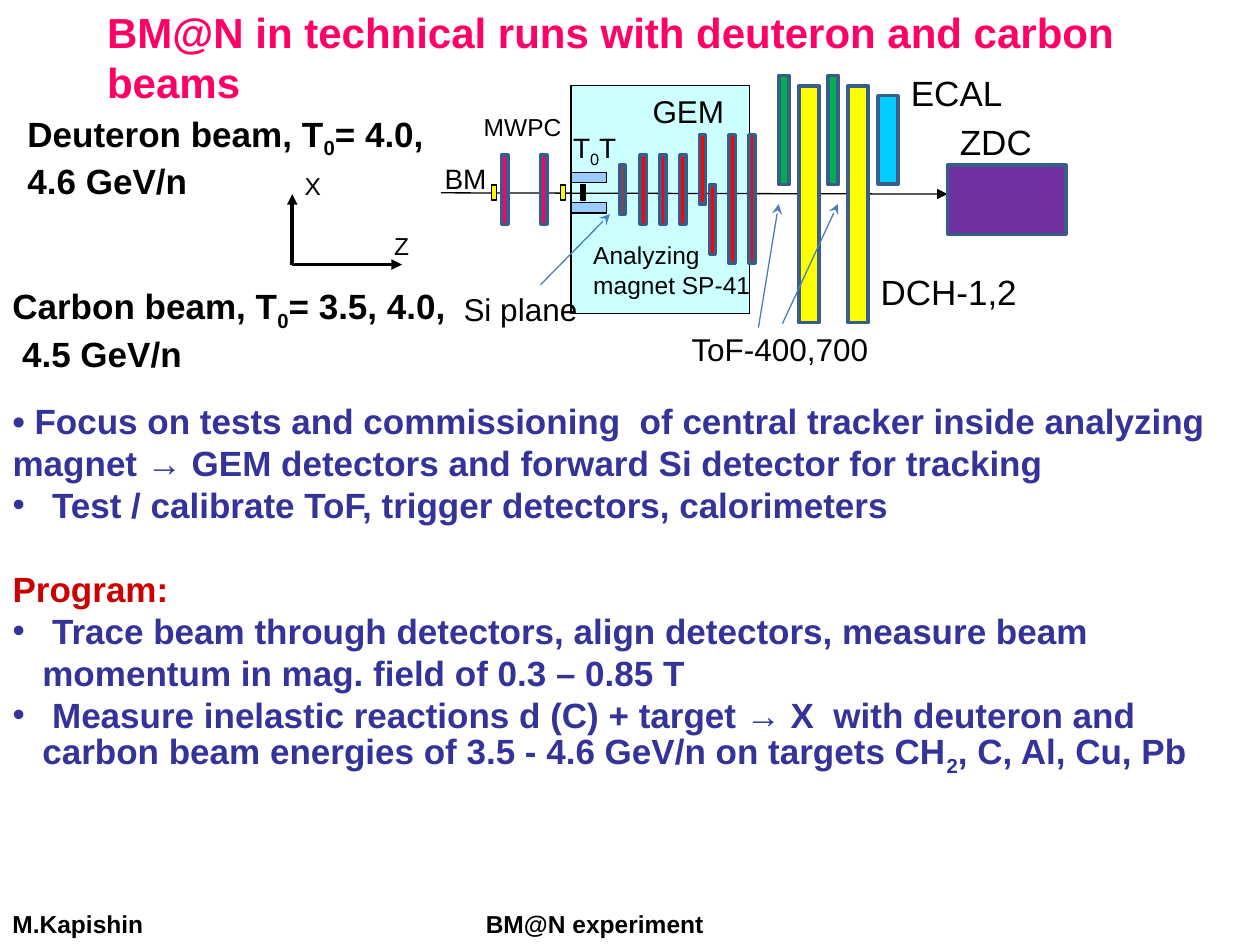
"""Build the BM@N technical runs slide with its detector layout scheme."""
from lxml.etree import SubElement
from pptx import Presentation
from pptx.dml.color import RGBColor
from pptx.enum.shapes import MSO_CONNECTOR, MSO_SHAPE
from pptx.enum.text import MSO_ANCHOR, MSO_AUTO_SIZE, PP_ALIGN
from pptx.oxml.ns import qn
from pptx.util import Pt

COLORS = {
    "black": "000000", "pink": "FF0066", "navy": "333399", "crimson": "CC0000",
    "outline": "385D8A", "pointer": "4A7EBB", "yellow": "FFFF00",
    "green": "00B050", "purple": "7030A0", "magnet": "CCFFFF",
    "coil": "99CCFF", "red": "FF0000", "silicon": "CC3300", "cyan": "00CCFF",
}


class SchemeSlide:
    """Hold the text style and the current slide, and add elements in points."""

    font_name = "Arial"

    def __init__(self, slide):
        self.slide = slide

    def place(self, shape, left, top, width, height):
        """Move a shape to a box given in points."""
        shape.left, shape.top = Pt(left), Pt(top)
        shape.width, shape.height = Pt(width), Pt(height)

    def fill_text(self, paragraph, text, size, color="black", bold=False):
        """Fill a paragraph; parts between tildes become subscripts."""
        paragraph.alignment = PP_ALIGN.LEFT
        paragraph.space_before = Pt(0)
        for index, part in enumerate(text.split("~")):
            run = paragraph.add_run()
            run.text = part
            run.font.name = self.font_name
            run.font.size = Pt(size)
            run.font.bold = bold
            run.font.color.rgb = RGBColor.from_string(COLORS[color])
            if index % 2:
                run._r.get_or_add_rPr().set("baseline", "-25000")

    def frame(self, shape, wrap=True):
        """Prepare the text frame of a shape."""
        frame = shape.text_frame
        frame.word_wrap = wrap
        frame.auto_size = MSO_AUTO_SIZE.NONE
        frame.vertical_anchor = MSO_ANCHOR.TOP
        return frame

    def title(self, text, box):
        """Fill the title placeholder."""
        heading = self.slide.shapes.title
        self.place(heading, *box)
        self.fill_text(self.frame(heading).paragraphs[0], text, 24, "pink", True)

    def body(self, items, box):
        """Fill the body placeholder with (text, colour, bulleted, gap) items."""
        content = self.slide.placeholders[1]
        self.place(content, *box)
        frame = self.frame(content)
        for index, (text, color, bulleted, gap) in enumerate(items):
            paragraph = frame.add_paragraph() if index else frame.paragraphs[0]
            properties = paragraph._p.get_or_add_pPr()
            hanging = Pt(17) if bulleted else 0
            properties.set("marL", str(hanging))
            properties.set("indent", str(-hanging))
            if bulleted:
                SubElement(properties, qn("a:buChar"), char="•")
            else:
                SubElement(properties, qn("a:buNone"))
            self.fill_text(paragraph, text, 20, color, True)
            paragraph.line_spacing = Pt(24)
            paragraph.space_before = Pt(gap)

    def label(self, text, size, box, bold=False, wrap=True, tab=None):
        """Add a text box, with a tab stop if one is given."""
        caption = self.slide.shapes.add_textbox(*map(Pt, box))
        paragraph = self.frame(caption, wrap).paragraphs[0]
        if tab:
            stops = SubElement(paragraph._p.get_or_add_pPr(), qn("a:tabLst"))
            SubElement(stops, qn("a:tab"), pos=str(Pt(tab)), algn="l")
        self.fill_text(paragraph, text, size, bold=bold)

    def block(self, fill, box, line="outline", weight=2):
        """Add a filled rectangle."""
        part = self.slide.shapes.add_shape(MSO_SHAPE.RECTANGLE, *map(Pt, box))
        part.shadow.inherit = False
        part.fill.solid()
        part.fill.fore_color.rgb = RGBColor.from_string(COLORS[fill])
        part.line.color.rgb = RGBColor.from_string(COLORS[line])
        part.line.width = Pt(weight)

    def arrow(self, start, end, color="black", weight=0.75, head="triangle"):
        """Add a straight arrow between two points."""
        connector = self.slide.shapes.add_connector(
            MSO_CONNECTOR.STRAIGHT, *map(Pt, start + end))
        connector.line.color.rgb = RGBColor.from_string(COLORS[color])
        connector.line.width = Pt(weight)
        SubElement(connector.line._get_or_add_ln(), qn("a:tailEnd"), type=head)
        SubElement(connector._element.spPr, qn("a:effectLst"))


def main():
    """Build and save the slide."""
    deck = Presentation()
    deck.slide_width, deck.slide_height = Pt(720), Pt(540)
    scheme = SchemeSlide(deck.slides.add_slide(deck.slide_layouts[1]))

    scheme.title("BM@N in technical runs with deuteron and carbon beams",
                 (54, 0, 635, 64.8))
    scheme.body([
        ("• Focus on tests and commissioning  of central tracker inside analyzing "
         "magnet → GEM detectors and forward Si detector for tracking",
         "navy", False, 0),
        (" Test / calibrate ToF, trigger detectors, calorimeters", "navy", True, 0),
        ("Program:", "crimson", False, 24),
        (" Trace beam through detectors, align detectors, measure beam momentum "
         "in mag. field of 0.3 – 0.85 T", "navy", True, 0),
        (" Measure inelastic reactions d (C) + target → X  with deuteron and "
         "carbon beam energies of 3.5 - 4.6 GeV/n on targets CH~2~, C, Al, Cu, Pb",
         "navy", True, 0),
    ], (0, 224.6, 720, 223.2))

    scheme.block("magnet", (326.2, 49, 102.2, 130.3), "black", 0.75)
    for top in (98.6, 115.9):
        scheme.block("coil", (326.2, top, 20.2, 5.8), "black", 0.75)
    scheme.arrow((252, 110.2), (541.4, 110.9))
    for fill, left in (("yellow", 280.8), ("yellow", 320.4), ("black", 331.9)):
        scheme.block(fill, (left, 105.8, 2.9, 8.6), "black", 0.75)

    for left in (286.6, 308.9):
        scheme.block("pink", (left, 88.6, 3.6, 39.6))
    scheme.block("silicon", (354.2, 94.3, 2.9, 28.1))
    for left, top, height in (
            (365.8, 88.6, 39.6), (377.1, 88.6, 39.6), (388.4, 88.6, 39.6),
            (427.9, 77, 73.4), (416.6, 77, 73.4),
            (405.4, 105.8, 39.6), (399.6, 77, 39.6)):
        scheme.block("red", (left, top, 3.6, height))
    for pair in range(2):
        shift = 28.1 * pair
        scheme.block("yellow", (456.5 + shift, 49, 11.5, 135.4))
        scheme.block("green", (445 + shift, 43.2, 5.8, 62.3))
    scheme.block("cyan", (501.8, 54.7, 11.5, 50.4))
    scheme.block("purple", (541.4, 94.3, 67.7, 39.6))

    origin = (167, 151.2)
    for axis_end in ((229.7, 151.2), (167, 110.9)):
        scheme.arrow(origin, axis_end, weight=2)
    for start, end in (((433.4, 187.2), (445, 116.6)),
                       ((447.1, 185), (478.8, 116.6)),
                       ((308.9, 162.7), (348.5, 122.4))):
        scheme.arrow(start, end, "pointer", head="stealth")

    for text, size, box, wrap in (
            ("DCH-1,2", 20, (496.1, 151.2, 108, 31), True),
            ("ZDC", 20, (541.4, 65.5, 73.4, 31.7), True),
            ("ECAL", 20, (513.4, 37.4, 66.2, 31.7), False),
            ("GEM", 18, (365.8, 49, 55.4, 28.8), False),
            ("ToF-400,700", 18, (388.1, 185, 117.4, 28.8), False),
            ("Si plane", 18, (257.8, 162, 96.5, 28.8), True),
            ("T~0~T", 16, (320.4, 71.3, 45.4, 29.5), True),
            ("BM", 16, (247, 88.6, 39.6, 26.6), True),
            ("MWPC", 14, (269.3, 60.5, 58.3, 24.5), False),
            ("Analyzing magnet SP-41", 14, (331.9, 133.9, 118.8, 41), True),
            ("X", 14, (167, 94.3, 39.6, 24.5), True),
            ("Z", 14, (218.2, 128.2, 33.8, 24.5), True)):
        scheme.label(text, size, box, wrap=wrap)
    scheme.label("Deuteron beam, T~0~= 4.0,  4.6 GeV/n", 20,
                 (8.6, 60.5, 266.4, 55.4), bold=True)
    scheme.label("Carbon beam, T~0~= 3.5, 4.0,  4.5 GeV/n", 20,
                 (0, 159.1, 266.4, 56.2), bold=True)
    scheme.label("M.Kapishin\tBM@N experiment", 14,
                 (0, 516.2, 420, 23.8), bold=True, tab=270.5)

    deck.save("out.pptx")


if __name__ == "__main__":
    main()
